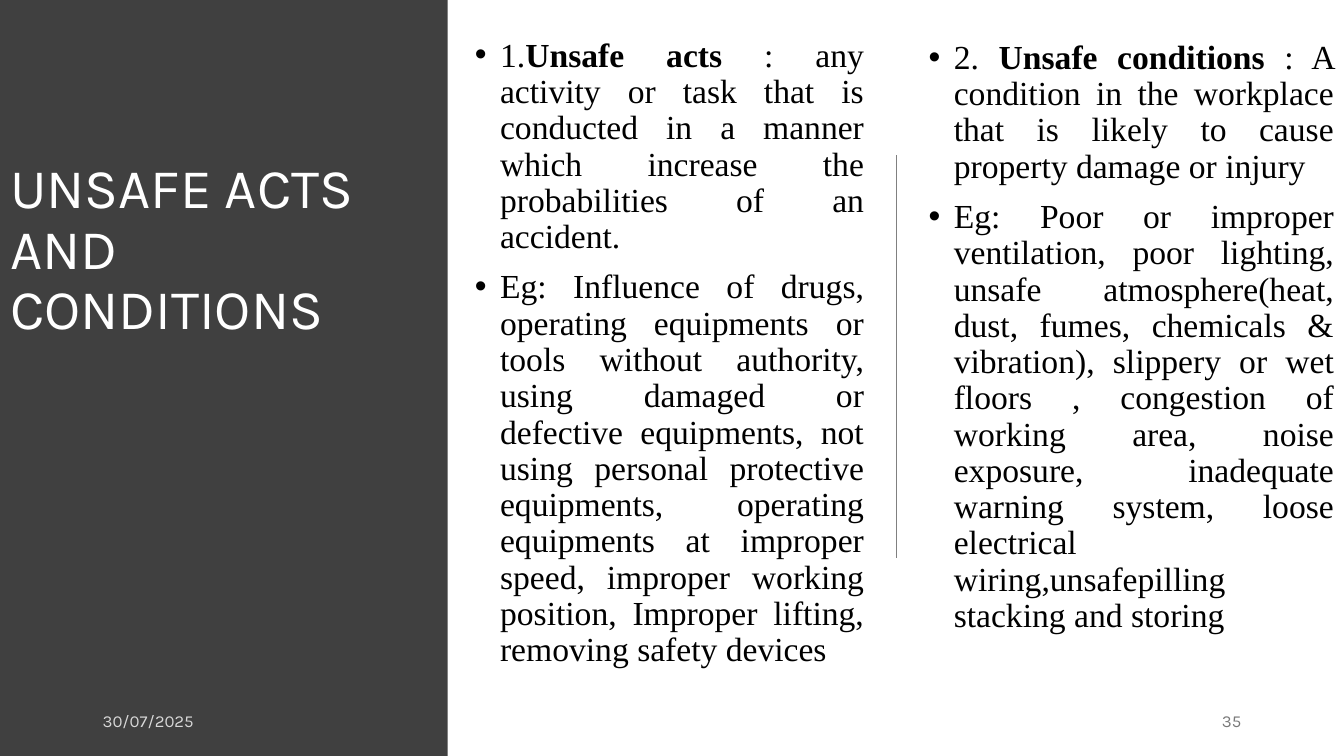
from lxml import etree
from pptx import Presentation
from pptx.dml.color import RGBColor
from pptx.enum.shapes import MSO_CONNECTOR, MSO_SHAPE
from pptx.enum.text import MSO_ANCHOR, MSO_AUTO_SIZE, PP_ALIGN
from pptx.oxml.ns import qn
from pptx.util import Inches, Pt

RECTANGLE = MSO_SHAPE.RECTANGLE
STRAIGHT = MSO_CONNECTOR.STRAIGHT
TOP, MIDDLE = MSO_ANCHOR.TOP, MSO_ANCHOR.MIDDLE
LEFT, RIGHT, JUSTIFY = PP_ALIGN.LEFT, PP_ALIGN.RIGHT, PP_ALIGN.JUSTIFY
NO_FIT = MSO_AUTO_SIZE.NONE
TWO_CONTENT = 3
HEADING_FONT, BODY_FONT = "Karla", "Times New Roman"

UNSAFE_ACTS = [
    [("1.", False), ("Unsafe acts ", True),
     (": any activity or task that is conducted in a manner which increase "
      "the probabilities of an accident. ", False)],
    [("Eg: Influence of drugs, operating equipments or tools without authority, "
      "using damaged or defective equipments, not using personal protective "
      "equipments, operating equipments at improper speed, improper working "
      "position, Improper lifting, removing safety devices", False)],
]
UNSAFE_CONDITIONS = [
    [("2. ", False), ("Unsafe conditions ", True),
     (": A condition in the workplace that is likely to cause property damage "
      "or injury", False)],
    [("Eg: Poor or improper ventilation, poor lighting, unsafe atmosphere(heat, "
      "dust, fumes, chemicals & vibration), slippery or wet floors , congestion "
      "of working area, noise exposure, inadequate warning system, loose "
      "electrical wiring,unsafepilling stacking and storing", False)],
]


def color(value):
    """Turn a hex string into a colour."""
    return RGBColor.from_string(value)


def apply(target, formats):
    """Set every attribute named in a dict of format values."""
    for name, value in formats.items():
        setattr(target, name, value)


def place(shape, left, top, width, height):
    """Move and size a shape, in inches."""
    apply(shape, {"left": Inches(left), "top": Inches(top),
                  "width": Inches(width), "height": Inches(height)})


def style_font(font, name, size, value):
    """Give a font its face, size and colour."""
    apply(font, {"name": name, "size": Pt(size)})
    font.color.rgb = color(value)


def add_bullet(paragraph):
    """Give a paragraph a round bullet with a hanging indent."""
    properties = paragraph._p.get_or_add_pPr()
    properties.set("marL", str(Inches(0.25)))
    properties.set("indent", str(-Inches(0.25)))
    etree.SubElement(properties, qn("a:buFont")).set("typeface", "Arial")
    etree.SubElement(properties, qn("a:buChar")).set("char", "•")


def add_panel(slide):
    """Draw the dark panel behind the title."""
    panel = slide.shapes.add_shape(RECTANGLE, 0, 0, Inches(4.44), Inches(7.5))
    panel.shadow.inherit = False
    panel.fill.solid()
    panel.fill.fore_color.rgb = color("404040")
    panel.line.fill.background()
    tree = slide.shapes._spTree
    tree.remove(panel._element)
    tree.insert(2, panel._element)


def add_divider(slide):
    """Draw the thin line between the two columns."""
    divider = slide.shapes.add_connector(
        STRAIGHT, Inches(8.89), Inches(1.54), Inches(8.89), Inches(5.54))
    divider.line.color.rgb = color("808080")
    divider.line.width = Pt(1)
    etree.SubElement(divider._element.spPr, qn("a:effectLst"))


def fill_title(title, text):
    """Write the slide title in its placeholder."""
    place(title, 0, 1.54, 4.09, 4.77)
    frame = title.text_frame
    frame.text = text
    apply(frame, {"word_wrap": True, "auto_size": NO_FIT, "vertical_anchor": TOP})
    paragraph = frame.paragraphs[0]
    apply(paragraph, {"alignment": LEFT, "line_spacing": 0.9})
    style_font(paragraph.runs[0].font, HEADING_FONT, 40, "FFFFFF")


def fill_column(body, position, items):
    """Write a justified bullet list in a body placeholder."""
    place(body, *position)
    frame = body.text_frame
    apply(frame, {"word_wrap": True, "auto_size": NO_FIT, "vertical_anchor": TOP})
    for index, item in enumerate(items):
        paragraph = frame.add_paragraph() if index else frame.paragraphs[0]
        add_bullet(paragraph)
        apply(paragraph, {"alignment": JUSTIFY, "line_spacing": 0.9,
                          "space_before": Pt(10 if index else 0)})
        for text, bold in item:
            run = paragraph.add_run()
            run.text = text
            run.font.bold = bold
            style_font(run.font, BODY_FONT, 24, "000000")


def add_footer(slide, text, position, alignment, value):
    """Add a small footer text and return its run."""
    box = slide.shapes.add_textbox(*map(Inches, position))
    frame = box.text_frame
    apply(frame, {"word_wrap": True, "vertical_anchor": MIDDLE})
    paragraph = frame.paragraphs[0]
    apply(paragraph, {"alignment": alignment, "space_after": Pt(6)})
    run = paragraph.add_run()
    run.text = text
    style_font(run.font, HEADING_FONT, 12, value)
    return run


def set_opacity(run, percent):
    """Make the colour of a run partly transparent."""
    fill = run._r.rPr.find(".//" + qn("a:srgbClr"))
    etree.SubElement(fill, qn("a:alpha")).set("val", str(percent * 1000))


def main():
    """Build the slide and save it."""
    presentation = Presentation()
    apply(presentation, {"slide_width": Inches(13.33), "slide_height": Inches(7.5)})
    slide = presentation.slides.add_slide(presentation.slide_layouts[TWO_CONTENT])
    title, acts, conditions = slide.placeholders
    add_panel(slide)
    fill_title(title, "UNSAFE ACTS AND CONDITIONS")
    fill_column(acts, (4.61, 0.33, 4.06, 4.77), UNSAFE_ACTS)
    add_divider(slide)
    fill_column(conditions, (9.11, 0.35, 4.22, 4.77), UNSAFE_CONDITIONS)
    date = add_footer(slide, "30/07/2025", (0.92, 6.95, 3, 0.4), LEFT, "FFFFFF")
    set_opacity(date, 80)
    add_footer(slide, "35", (10.06, 6.95, 2.35, 0.4), RIGHT, "797979")
    presentation.save("out.pptx")


if __name__ == "__main__":
    main()
